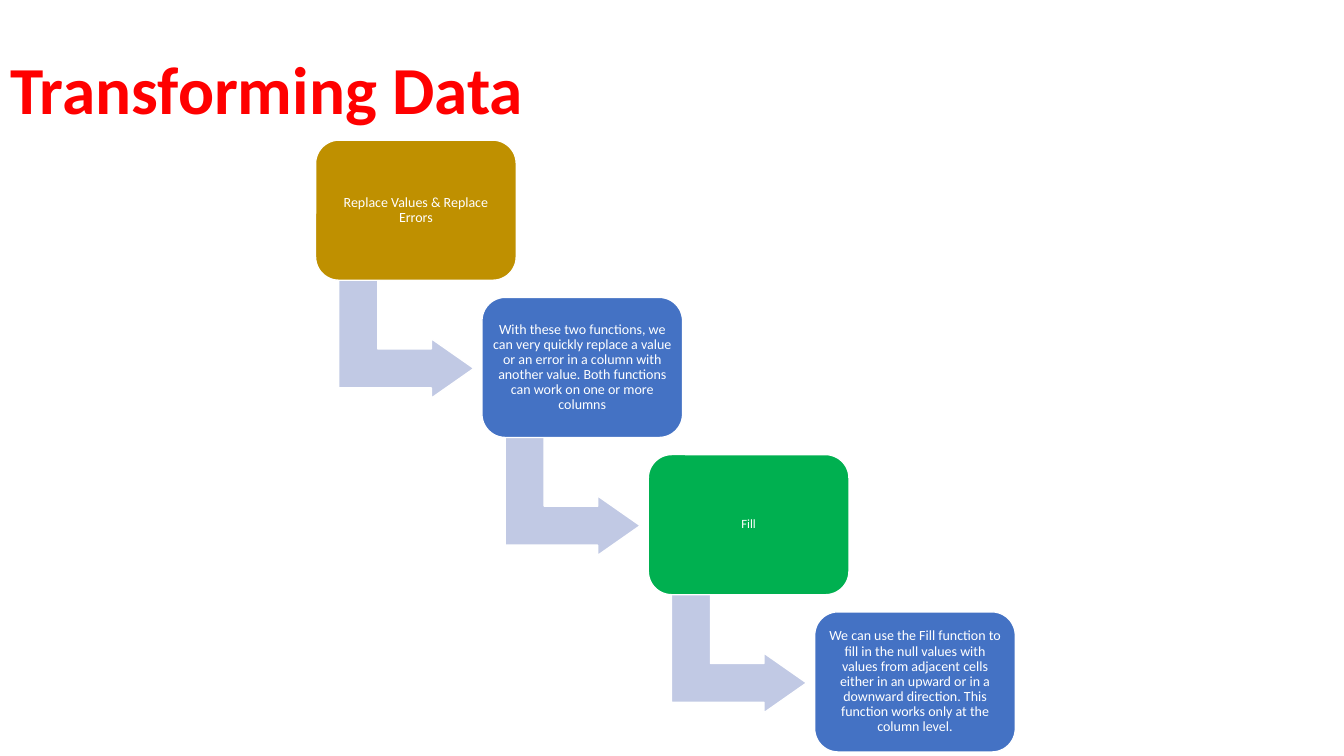
from pptx import Presentation
from pptx.dml.color import RGBColor
from pptx.enum.shapes import MSO_SHAPE
from pptx.enum.text import MSO_ANCHOR, MSO_AUTO_SIZE, PP_ALIGN
from pptx.util import Inches, Pt

ROUNDED = MSO_SHAPE.ROUNDED_RECTANGLE
BENT_ARROW = MSO_SHAPE.BENT_UP_ARROW
MIDDLE = MSO_ANCHOR.MIDDLE
LEFT, CENTER = PP_ALIGN.LEFT, PP_ALIGN.CENTER
NO_AUTOFIT = MSO_AUTO_SIZE.NONE

SLIDE_WIDTH, SLIDE_HEIGHT = 13.33, 7.5
FIRST_LEFT, FIRST_TOP = 3.13, 1.39
COLUMN_STEP, ROW_STEP = 1.65, 1.56
BOX_WIDTH, BOX_HEIGHT = 1.99, 1.39
ARROW_WIDTH, ARROW_HEIGHT = 1.18, 1.34
ARROW_OFFSET_X, ARROW_OFFSET_Y = 0.31, 1.3
WHITE, RED, GOLD, BLUE, GREEN, PALE_BLUE = (
    "FFFFFF", "FF0000", "BF9000", "4472C4", "00B050", "C1C9E4")

STEPS = [
    ("Replace Values & Replace Errors", GOLD, 10),
    ("With these two functions, we can very quickly replace a value or an error "
     "in a column with another value. Both functions can work on one or more columns",
     BLUE, 10),
    ("Fill", GREEN, 9),
    ("We can use the Fill function to fill in the null values with values from "
     "adjacent cells either in an upward or in a downward direction. "
     "This function works only at the column level.", BLUE, 10),
]


def color(hex_string):
    """Turn a hex string into a colour."""
    return RGBColor.from_string(hex_string)


def write(frame, text, size, hex_color, alignment, bold=False):
    """Write one formatted, vertically centred paragraph."""
    frame.word_wrap = True
    frame.auto_size = NO_AUTOFIT
    frame.vertical_anchor = MIDDLE
    paragraph = frame.paragraphs[0]
    paragraph.text = text
    paragraph.alignment = alignment
    paragraph.line_spacing = 0.9
    paragraph.font.name = "Calibri"
    paragraph.font.size = Pt(size)
    paragraph.font.bold = bold
    paragraph.font.color.rgb = color(hex_color)


def add_title(slide, text):
    """Place the title across the top of the slide."""
    title = slide.shapes.title
    title.left = title.top = 0
    title.width, title.height = Inches(SLIDE_WIDTH), Inches(1.84)
    write(title.text_frame, text, 48, RED, LEFT, bold=True)


def add_block(slide, kind, left, top, width, height, fill, adjustments):
    """Add a filled shape with a thin white outline."""
    shape = slide.shapes.add_shape(
        kind, Inches(left), Inches(top), Inches(width), Inches(height))
    shape.shadow.inherit = False
    shape.fill.solid()
    shape.fill.fore_color.rgb = color(fill)
    shape.line.color.rgb = color(WHITE)
    shape.line.width = Pt(1)
    for index, value in enumerate(adjustments):
        shape.adjustments[index] = value
    return shape


def add_step_arrow(slide, left, top):
    """Add the bent arrow that leads from a box to the next one."""
    arrow = add_block(slide, BENT_ARROW, left + ARROW_OFFSET_X, top + ARROW_OFFSET_Y,
                      ARROW_WIDTH, ARROW_HEIGHT, PALE_BLUE, (0.328, 0.25, 0.358))
    arrow.rotation = 90


def add_step_box(slide, left, top, text, fill, size):
    """Add a rounded box with its text."""
    box = add_block(slide, ROUNDED, left, top, BOX_WIDTH, BOX_HEIGHT, fill, (0.167,))
    frame = box.text_frame
    frame.margin_left = frame.margin_right = Inches(0.04)
    frame.margin_top = frame.margin_bottom = Inches(0.04)
    write(frame, text, size, WHITE, CENTER)


def main():
    """Build and save the slide."""
    presentation = Presentation()
    presentation.slide_width = Inches(SLIDE_WIDTH)
    presentation.slide_height = Inches(SLIDE_HEIGHT)
    slide = presentation.slides.add_slide(presentation.slide_layouts[5])
    add_title(slide, "Transforming Data")
    for index, (text, fill, size) in enumerate(STEPS):
        left = FIRST_LEFT + index * COLUMN_STEP
        top = FIRST_TOP + index * ROW_STEP
        if index < len(STEPS) - 1:
            add_step_arrow(slide, left, top)
        add_step_box(slide, left, top, text, fill, size)
    presentation.save("out.pptx")


if __name__ == "__main__":
    main()
